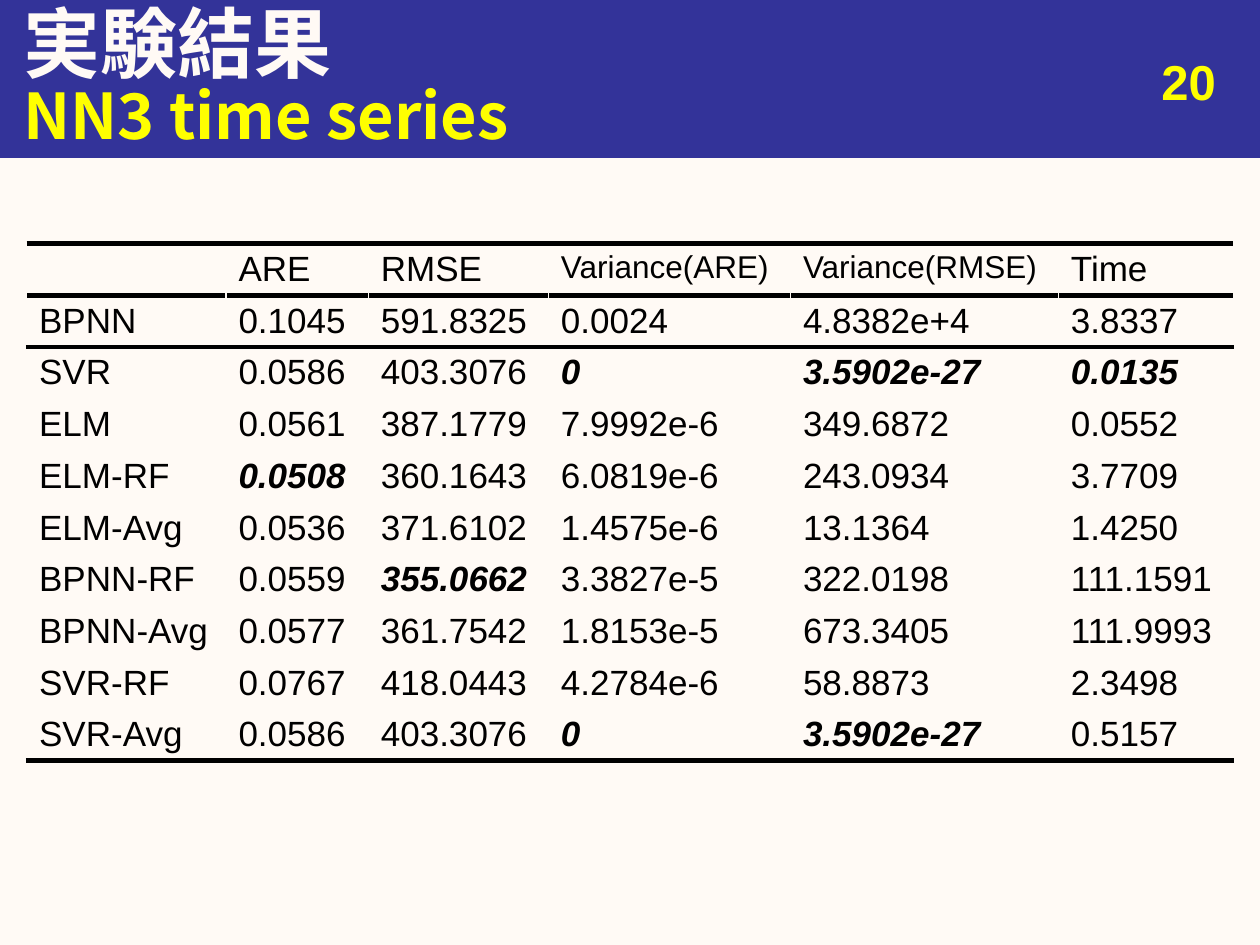
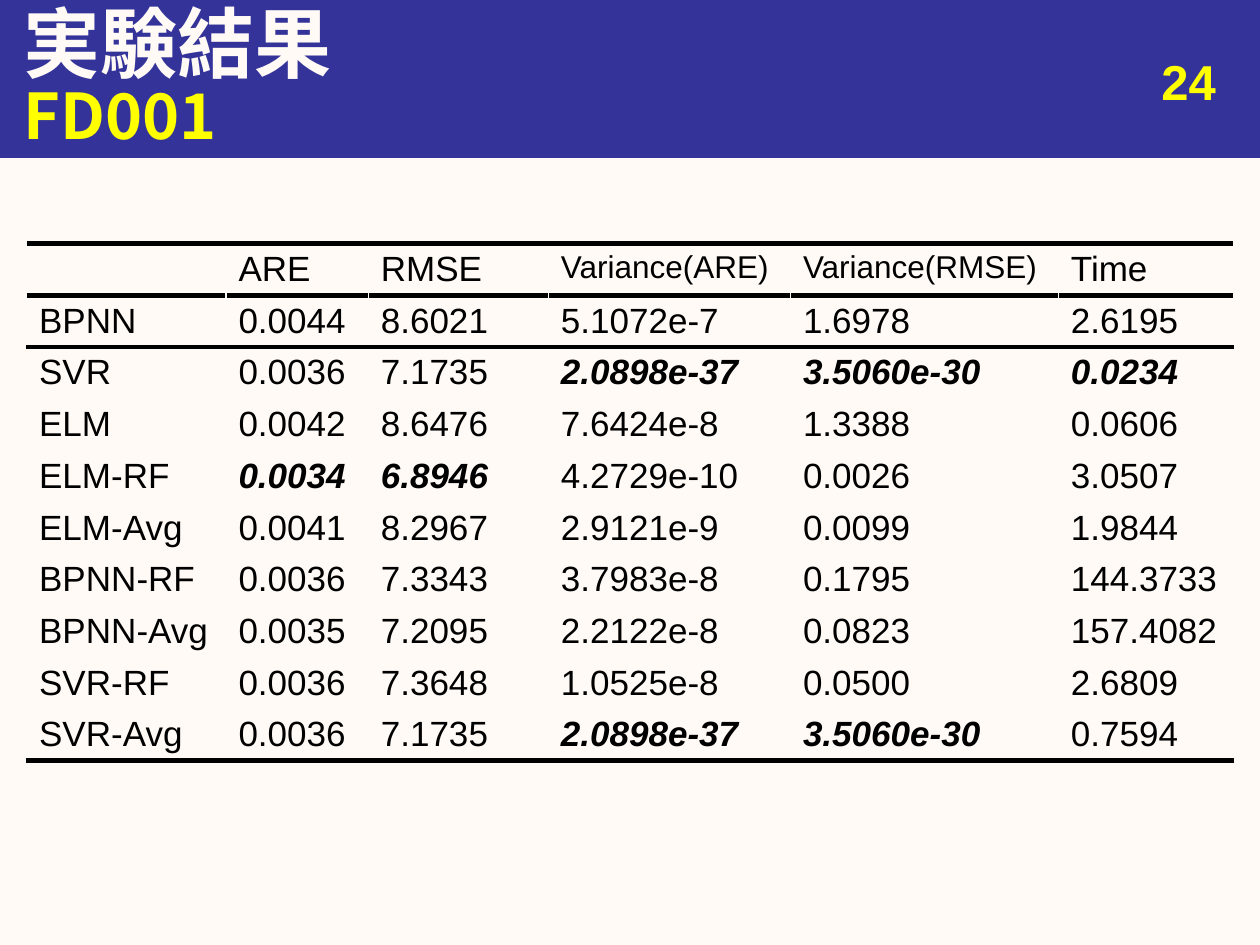
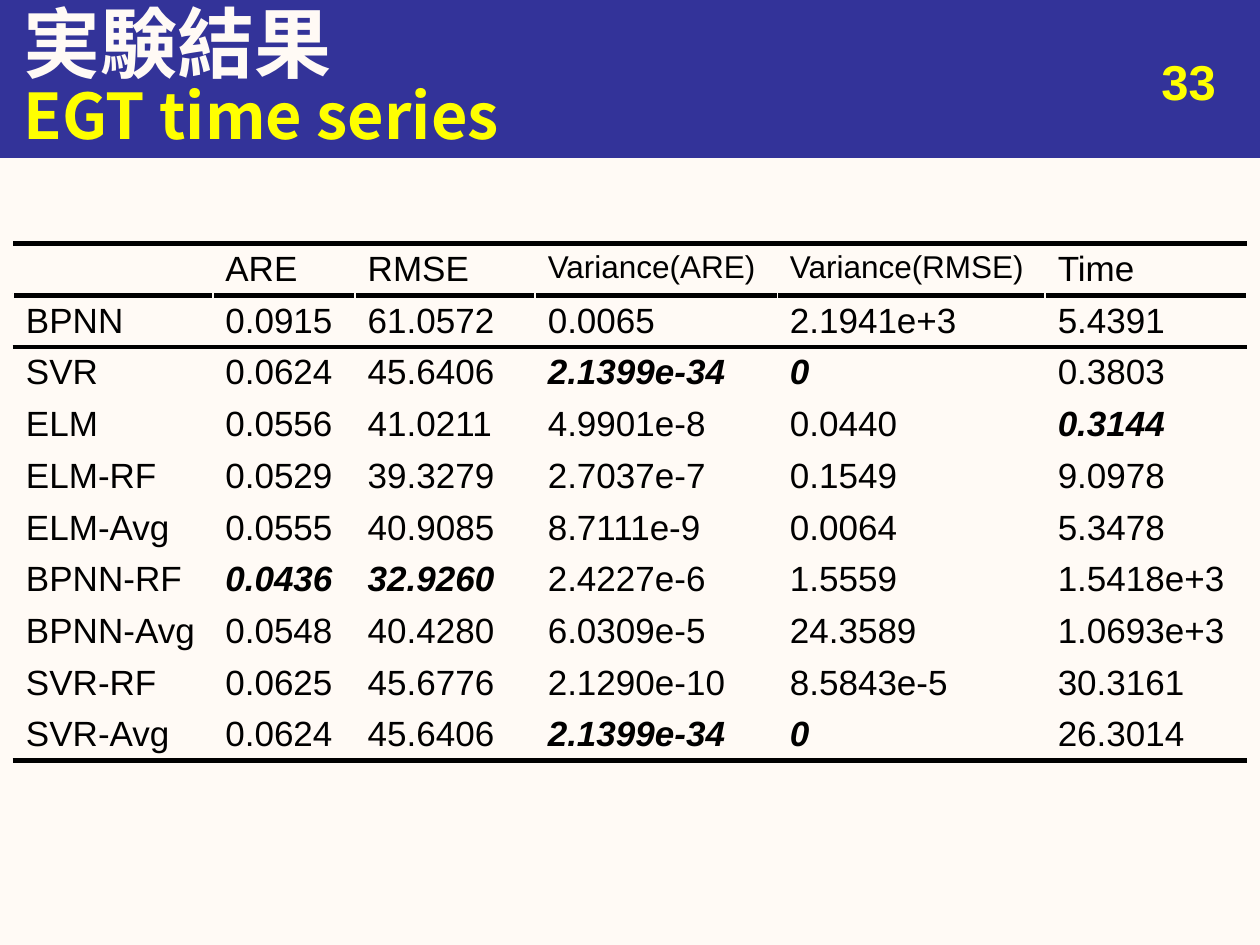
from dataclasses import dataclass

from lxml.etree import SubElement
from pptx import Presentation
from pptx.dml.color import RGBColor
from pptx.enum.shapes import MSO_SHAPE
from pptx.enum.text import MSO_ANCHOR, MSO_AUTO_SIZE, PP_ALIGN
from pptx.oxml import parse_xml
from pptx.oxml.ns import nsdecls, qn
from pptx.util import Cm, Pt


# Look shared by all slides
@dataclass(frozen=True)
class Theme:
    paper: str = "FFFAF5"
    band: str = "333399"
    accent: str = "FFFF00"
    ink: str = "000000"
    latin: str = "Arial"
    cjk: str = "Noto Sans CJK JP"
    title: int = 44
    subtitle: int = 36
    number: int = 28
    body: int = 20
    small: int = 18
    heavy_rule: float = 3
    thin_rule: float = 1


@dataclass(frozen=True)
class Box:
    left: float
    top: float
    width: float
    height: float

    def lengths(self) -> tuple:
        return Cm(self.left), Cm(self.top), Cm(self.width), Cm(self.height)


@dataclass(frozen=True)
class ResultSlide:
    number: int
    dataset: str
    time_width: float
    rows: tuple[str, ...]  # one line per method; * marks a best value


THEME = Theme()
SLIDE_W, SLIDE_H = 25.4, 19.05
BAND = Box(0, 0, SLIDE_W, 3.18)
TITLE = Box(0.22, 0, 25.18, 1.7)
SUBTITLE = Box(0.22, 1.5, 25.18, 1.6)
NUMBER = Box(18.84, 0.92, 5.92, 1.32)
TABLE_TOP, ROW_H = 4.91, 1.04
FIXED_COLUMNS = (4.02, 2.87, 3.63, 4.88, 5.4)

HEADERS = ("", "ARE", "RMSE", "Variance(ARE)", "Variance(RMSE)", "Time")
METHODS = ("BPNN", "SVR", "ELM", "ELM-RF", "ELM-Avg",
           "BPNN-RF", "BPNN-Avg", "SVR-RF", "SVR-Avg")

SLIDES = (
    ResultSlide(20, "NN3 time series", 3.53, (
        "0.1045 591.8325 0.0024 4.8382e+4 3.8337",
        "0.0586 403.3076 *0 *3.5902e-27 *0.0135",
        "0.0561 387.1779 7.9992e-6 349.6872 0.0552",
        "*0.0508 360.1643 6.0819e-6 243.0934 3.7709",
        "0.0536 371.6102 1.4575e-6 13.1364 1.4250",
        "0.0559 *355.0662 3.3827e-5 322.0198 111.1591",
        "0.0577 361.7542 1.8153e-5 673.3405 111.9993",
        "0.0767 418.0443 4.2784e-6 58.8873 2.3498",
        "0.0586 403.3076 *0 *3.5902e-27 0.5157")),
    ResultSlide(24, "FD001", 3.53, (
        "0.0044 8.6021 5.1072e-7 1.6978 2.6195",
        "0.0036 7.1735 *2.0898e-37 *3.5060e-30 *0.0234",
        "0.0042 8.6476 7.6424e-8 1.3388 0.0606",
        "*0.0034 *6.8946 4.2729e-10 0.0026 3.0507",
        "0.0041 8.2967 2.9121e-9 0.0099 1.9844",
        "0.0036 7.3343 3.7983e-8 0.1795 144.3733",
        "0.0035 7.2095 2.2122e-8 0.0823 157.4082",
        "0.0036 7.3648 1.0525e-8 0.0500 2.6809",
        "0.0036 7.1735 *2.0898e-37 *3.5060e-30 0.7594")),
    ResultSlide(33, "EGT time series", 4.06, (
        "0.0915 61.0572 0.0065 2.1941e+3 5.4391",
        "0.0624 45.6406 *2.1399e-34 *0 0.3803",
        "0.0556 41.0211 4.9901e-8 0.0440 *0.3144",
        "0.0529 39.3279 2.7037e-7 0.1549 9.0978",
        "0.0555 40.9085 8.7111e-9 0.0064 5.3478",
        "*0.0436 *32.9260 2.4227e-6 1.5559 1.5418e+3",
        "0.0548 40.4280 6.0309e-5 24.3589 1.0693e+3",
        "0.0625 45.6776 2.1290e-10 8.5843e-5 30.3161",
        "0.0624 45.6406 *2.1399e-34 *0 26.3014")),
)


# Text
def add_run(p, text: str, size: float, color: str, font: str = THEME.latin,
            bold: bool = False, italic: bool = False) -> None:
    r = p.add_run()
    r.text = text
    r.font.size, r.font.bold, r.font.italic = Pt(size), bold, italic
    r.font.color.rgb = RGBColor.from_string(color)
    r.font.name = font
    SubElement(r.font._element, qn("a:ea"), typeface=THEME.cjk)


def fill_frame(sp, text: str, size: float, color: str, font: str = THEME.latin,
               align=PP_ALIGN.LEFT, anchor=MSO_ANCHOR.MIDDLE) -> None:
    tf = sp.text_frame
    tf.word_wrap = True
    tf.auto_size = MSO_AUTO_SIZE.NONE
    tf.vertical_anchor = anchor
    p = tf.paragraphs[0]
    p.alignment = align
    add_run(p, text, size, color, font, bold=True)


# Table
def rule_between(upper: int) -> tuple[str, float]:
    """Colour and weight of the rule below a row; -1 is the top edge."""
    if upper in (-1, 0, 1, len(METHODS)):
        return THEME.ink, THEME.heavy_rule
    return THEME.paper, THEME.thin_rule


def set_borders(cell, row: int) -> None:
    side = (THEME.paper, THEME.thin_rule) if row else None
    edges = {"L": side, "R": side,
             "T": rule_between(row - 1), "B": rule_between(row)}
    tcPr = cell._tc.get_or_add_tcPr()
    for i, (edge, rule) in enumerate(edges.items()):
        width, paint = 0, "<a:noFill/>"
        if rule:
            color, weight = rule
            width = Pt(weight)
            paint = f'<a:solidFill><a:srgbClr val="{color}"/></a:solidFill>'
        tcPr.insert(i, parse_xml(
            f'<a:ln{edge} {nsdecls("a")} w="{width}">{paint}</a:ln{edge}>'))


def add_results(s, result: ResultSlide) -> None:
    widths = (*FIXED_COLUMNS, result.time_width)
    lines = [HEADERS] + [(method, *row.split())
                         for method, row in zip(METHODS, result.rows)]
    total = sum(widths)
    box = Box((SLIDE_W - total) / 2, TABLE_TOP, total, ROW_H * len(lines))
    table = s.shapes.add_table(len(lines), len(widths), *box.lengths()).table
    table.first_row = table.horz_banding = False
    for column, width in zip(table.columns, widths):
        column.width = Cm(width)
    for i, line in enumerate(lines):
        table.rows[i].height = Cm(ROW_H)
        for j, value in enumerate(line):
            cell = table.cell(i, j)
            cell.fill.background()
            set_borders(cell, i)
            if value:
                best = value.startswith("*")
                size = THEME.small if value.startswith("Variance") else THEME.body
                add_run(cell.text_frame.paragraphs[0], value.lstrip("*"), size,
                        THEME.ink, bold=best, italic=best)


# Header band, behind everything else
def add_band(s) -> None:
    sp = s.shapes.add_shape(MSO_SHAPE.RECTANGLE, *BAND.lengths())
    sp.shadow.inherit = False
    sp.fill.solid()
    sp.fill.fore_color.rgb = RGBColor.from_string(THEME.band)
    sp.line.color.rgb = RGBColor.from_string(THEME.band)
    sp.line.width = Pt(0.75)
    s.shapes._spTree.insert(2, sp._element)


def add_result_slide(s, result: ResultSlide) -> None:
    add_band(s)
    title = s.shapes.title
    title.left, title.top, title.width, title.height = TITLE.lengths()
    fill_frame(title, "実験結果", THEME.title, THEME.paper)
    add_results(s, result)
    number = s.shapes.add_textbox(*NUMBER.lengths())
    fill_frame(number, str(result.number), THEME.number, THEME.accent,
               align=PP_ALIGN.RIGHT, anchor=MSO_ANCHOR.TOP)
    subtitle = s.shapes.add_textbox(*SUBTITLE.lengths())
    fill_frame(subtitle, result.dataset, THEME.subtitle, THEME.accent, THEME.cjk)


def main() -> None:
    prs = Presentation()
    prs.slide_width, prs.slide_height = Cm(SLIDE_W), Cm(SLIDE_H)
    paper = prs.slide_master.background.fill
    paper.solid()
    paper.fore_color.rgb = RGBColor.from_string(THEME.paper)
    layout = prs.slide_layouts.get_by_name("Title Only")
    for result in SLIDES:
        add_result_slide(prs.slides.add_slide(layout), result)
    prs.save("out.pptx")


main()
